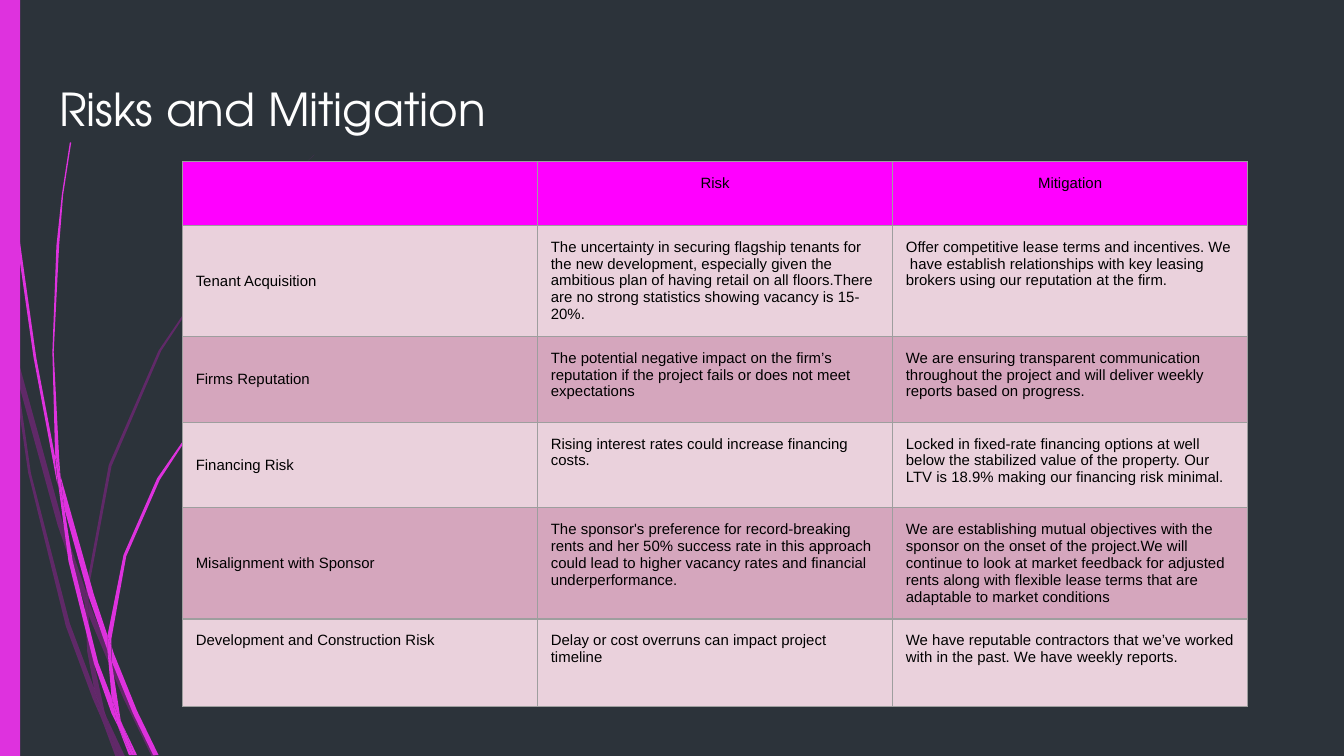
from dataclasses import dataclass

from lxml.etree import SubElement
from pptx import Presentation
from pptx.dml.color import RGBColor
from pptx.enum.shapes import MSO_SHAPE
from pptx.enum.text import MSO_ANCHOR as Anchor, PP_ALIGN as Align
from pptx.oxml import parse_xml
from pptx.oxml.ns import nsdecls, qn
from pptx.util import Cm, Pt

MAGENTA = "DE32DE"
PURPLE = "AF1CAF"
HEADER_FILL = "FF00FF"
BAND_FILLS = ("EAD1DC", "D5A6BD")
BORDER = "9E9E9E"
INSET = Cm(0.25)
STRAND_UNIT = Cm(2.54) / 100


@dataclass(frozen=True)
class Strands:
    color: str
    opacity: int
    outlines: tuple[str, ...]


@dataclass(frozen=True)
class RiskRow:
    name: str
    risk: str
    mitigation: str
    height: float
    anchor: Anchor = Anchor.MIDDLE


# Each outline lists its corner points in strand units
BACK_STRANDS = Strands(PURPLE, 40, (
    "8,263 6,241 0,211 0,224 8,258",
    "43,391 63,449 64,440 47,390 11,259 13,282",
    "69,455 66,447 66,458 92,520 113,563 116,563 95,519",
    "89,563 93,563 79,533",
    "70,512 52,464 23,352 13,282 8,263 21,352 49,466 69,520 76,536 74,530",
    "63,449 65,485 70,512 72,519 79,533 78,530 68,484 66,458 66,456",
    "66,438 83,347 120,261 171,184 201,148 217,131 234,115 217,131 201,148 171,183 118,261 81,346 "
    "64,438 64,440 66,447",
    "76,536 86,563 89,563",
    "66,456 66,458 66,447 64,440 63,449",
    "72,519 70,512 74,530 76,536 89,563 79,533",
))
FRONT_STRANDS = Strands(MAGENTA, 100, (
    "5,82 12,175 25,266 42,357 43,361 41,343 41,340 27,266 14,174 6,82 3,36 3,0 2,0 3,36",
    "66,444 80,484 80,475 80,473 70,443 45,354 48,379",
    "85,487 83,481 83,492 99,531 114,562 118,562 102,529",
    "83,519 73,493 54,417 48,379 43,358 51,418 70,494 83,531 88,541 87,538",
    "45,354 44,340 40,262 44,183 47,145 53,106 52,106 46,145 42,183 39,262 41,337",
    "100,562 102,562 91,539",
    "43,358 48,379 45,354 41,337 41,340",
    "83,475 94,414 119,357 153,305 173,281 184,269 196,258 195,258 184,269 173,280 153,304 117,356 "
    "92,413 80,473 83,481",
    "88,541 96,562 98,562",
    "80,484 83,519 87,530 91,539 90,537 83,492 81,488",
    "80,484 81,488 83,492 83,481 80,473 80,475",
    "87,530 83,519 87,538 88,541 98,562 100,562 91,539",
))

RISK_ROWS = (
    RiskRow("", "Risk", "Mitigation", 1.21),
    RiskRow("Tenant Acquisition",
            "The uncertainty in securing flagship tenants for the new development, especially given the ambitious "
            "plan of having retail on all floors.There are no strong statistics showing vacancy is 15-20%.",
            "Offer competitive lease terms and incentives. We  have establish relationships with key leasing "
            "brokers using our reputation at the firm.", 2.1),
    RiskRow("Firms Reputation",
            "The potential negative impact on the firm’s reputation if the project fails or does not meet expectations",
            "We are ensuring transparent communication throughout the project and will deliver weekly reports "
            "based on progress.", 1.62),
    RiskRow("Financing Risk",
            "Rising interest rates could increase financing costs.",
            "Locked in fixed-rate financing options at well below the stabilized value of the property. "
            "Our LTV is 18.9% making our financing risk minimal.", 1.62),
    RiskRow("Misalignment with Sponsor",
            "The sponsor's preference for record-breaking rents and her 50% success rate in this approach could "
            "lead to higher vacancy rates and financial underperformance.",
            "We are establishing mutual objectives with the sponsor on the onset of the project.We will continue to "
            "look at market feedback for adjusted rents along with flexible lease terms that are adaptable to "
            "market conditions", 2.1),
    RiskRow("Development and Construction Risk",
            "Delay or cost overruns can impact project timeline",
            "We have reputable contractors that we’ve worked with in the past. We have weekly reports.",
            1.66, Anchor.TOP),
)


def paint(fill, color: str) -> None:
    fill.solid()
    fill.fore_color.rgb = RGBColor.from_string(color)


def write(text_frame, text: str, *, size: float, font: str = "Arial", color: str = "000000",
          align: Align = Align.LEFT) -> None:
    paragraph = text_frame.paragraphs[0]
    paragraph.text = text
    paragraph.alignment = align
    paragraph.font.size = Pt(size)
    paragraph.font.name = font
    paragraph.font.bold = False
    paragraph.font.color.rgb = RGBColor.from_string(color)


def draw_strands(slide, strands: Strands) -> None:
    for outline in strands.outlines:
        first, *rest = [tuple(map(int, pair.split(","))) for pair in outline.split()]
        builder = slide.shapes.build_freeform(*first, scale=STRAND_UNIT)
        builder.add_line_segments(rest, close=True)
        shape = builder.convert_to_shape()
        shape.shadow.inherit = False
        shape.line.fill.background()
        paint(shape.fill, strands.color)
        if strands.opacity < 100:
            color = shape._element.spPr.find(qn("a:solidFill"))[0]
            SubElement(color, qn("a:alpha"), val=str(strands.opacity * 1000))


def add_borders(cell) -> None:
    properties = cell._tc.get_or_add_tcPr()
    for index, side in enumerate(("lnL", "lnR", "lnT", "lnB")):
        properties.insert(index, parse_xml(
            f'<a:{side} {nsdecls("a")} w="9525"><a:solidFill><a:srgbClr val="{BORDER}"/></a:solidFill></a:{side}>'))


def draw_table(slide) -> None:
    height = sum(row.height for row in RISK_ROWS)
    table = slide.shapes.add_table(len(RISK_ROWS), 3, Cm(3.45), Cm(3.05), Cm(20.13), Cm(height)).table
    table.first_row = table.horz_banding = False
    for row_index, row in enumerate(RISK_ROWS):
        header = row_index == 0
        table.rows[row_index].height = Cm(row.height)
        for column, text in enumerate((row.name, row.risk, row.mitigation)):
            cell = table.cell(row_index, column)
            cell.margin_left = cell.margin_right = cell.margin_top = cell.margin_bottom = INSET
            cell.vertical_anchor = row.anchor if column == 0 else Anchor.TOP
            paint(cell.fill, HEADER_FILL if header else BAND_FILLS[(row_index - 1) % 2])
            add_borders(cell)
            write(cell.text_frame, text, size=8, align=Align.CENTER if header else Align.LEFT)


def main() -> None:
    presentation = Presentation()
    presentation.slide_width, presentation.slide_height = Cm(25.4), Cm(14.29)
    slide = presentation.slides.add_slide(presentation.slide_layouts[5])
    paint(slide.background.fill, "2C333A")

    # Decorative strands and side bar
    draw_strands(slide, BACK_STRANDS)
    draw_strands(slide, FRONT_STRANDS)
    bar = slide.shapes.add_shape(MSO_SHAPE.RECTANGLE, 0, 0, Cm(0.38), presentation.slide_height)
    bar.shadow.inherit = False
    bar.line.fill.background()
    paint(bar.fill, MAGENTA)

    # Title
    title = slide.shapes.title
    title.left, title.top, title.width, title.height = Cm(0.87), Cm(1.24), Cm(23.67), Cm(1.6)
    frame = title.text_frame
    frame.margin_left = frame.margin_right = frame.margin_top = frame.margin_bottom = INSET
    frame.vertical_anchor = Anchor.MIDDLE
    write(frame, "Risks and Mitigation", size=24.3, font="TeX Gyre Adventor", color="FEFEFE")

    # Risk table
    draw_table(slide)
    presentation.save("out.pptx")


if __name__ == "__main__":
    main()
